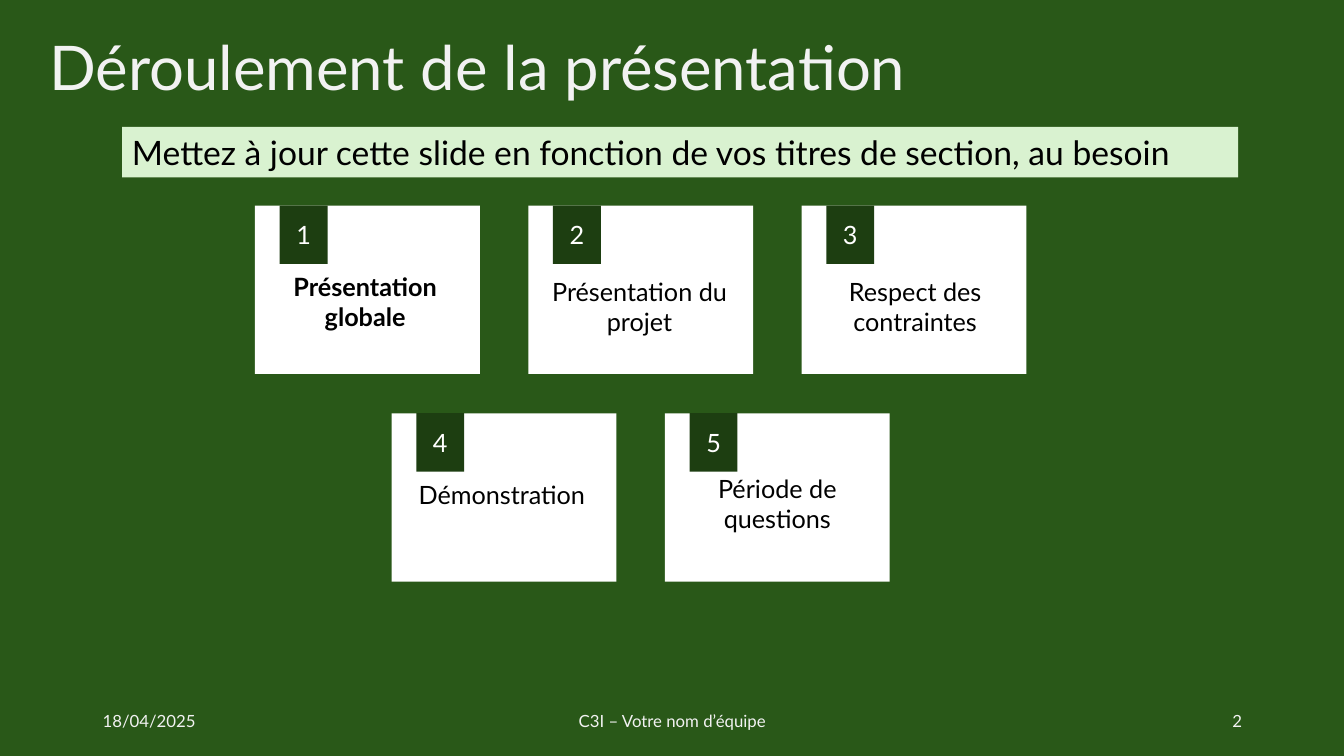
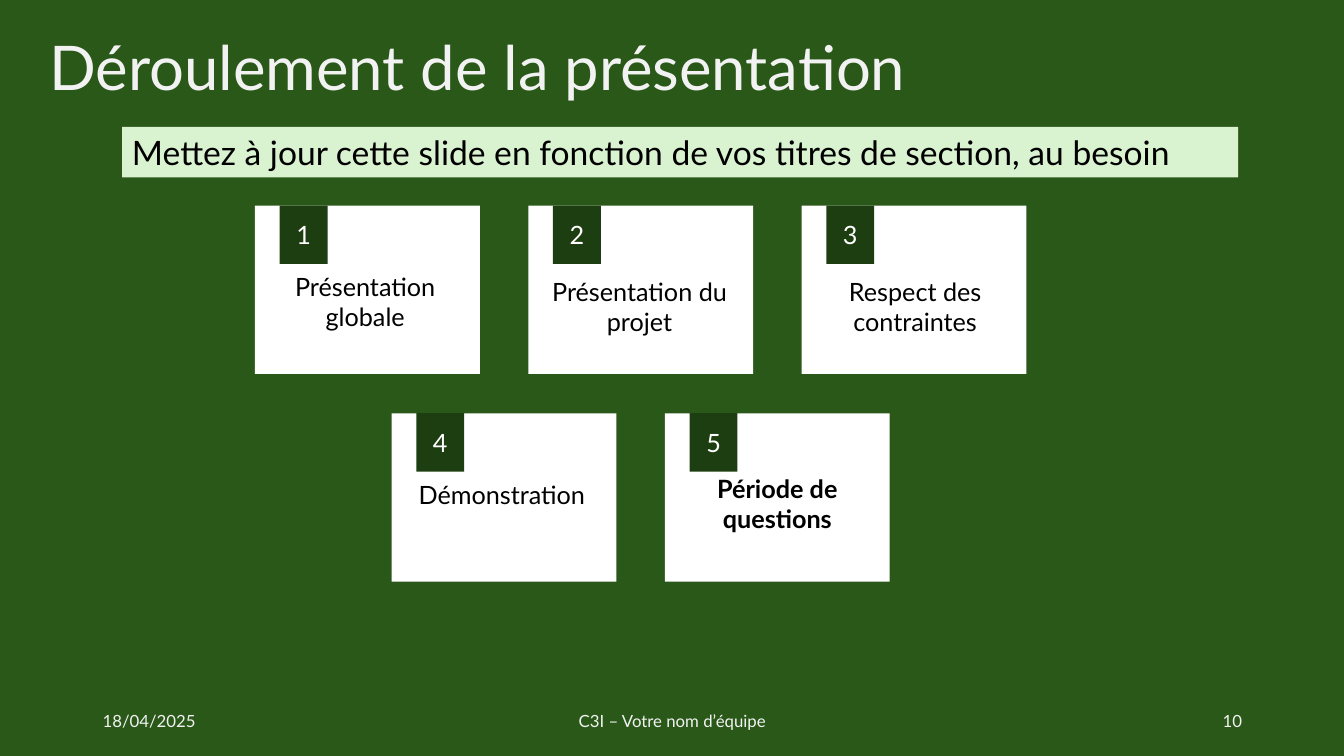
from dataclasses import dataclass

from pptx import Presentation
from pptx.dml.color import RGBColor as Rgb
from pptx.enum.shapes import MSO_SHAPE as Shape
from pptx.enum.text import MSO_ANCHOR as Anchor, MSO_AUTO_SIZE as Fit, PP_ALIGN as Align
from pptx.util import Inches, Pt


@dataclass(frozen=True)
class Theme:
    font: str = "Lato"
    background: str = "295818"
    badge: str = "1D3E11"
    band: str = "D9F2D0"
    card: str = "FFFFFF"
    light: str = "F2F2F2"
    dark: str = "000000"
    title_size: int = 44
    band_size: int = 24
    card_size: int = 18
    footer_size: int = 12


@dataclass(frozen=True)
class Box:
    left: float
    top: float
    width: float
    height: float

    def inner(self, x, y, w, h):
        """Inner box, given in percent of this one."""
        return Box(self.left + self.width * x / 100, self.top + self.height * y / 100,
                   self.width * w / 100, self.height * h / 100)

    def emu(self):
        return [int(v) for v in (self.left, self.top, self.width, self.height)]


@dataclass(frozen=True)
class Section:
    caption: str
    dx: float  # caption offset, percent of the card
    dy: float


THEME = Theme()
SLIDE = Box(0, 0, Inches(13.33), Inches(7.5))
TITLE_BOX = SLIDE.inner(2.92, 2.93, 86.25, 12.8)
BAND_BOX = SLIDE.inner(9.08, 16.8, 83.05, 6.67)
AGENDA_BOX = SLIDE.inner(18.97, 27.2, 57.4, 49.73)
FOOTER_BOX = SLIDE.inner(6.9, 92.67, 86.25, 5.33)

TITLE = "Déroulement de la présentation"
NOTICE = "Mettez à jour cette slide en fonction de vos titres de section, au besoin"
DATE = "18/04/2025"
TEAM = "C3I – Votre nom d’équipe"
ROWS = [
    [Section("Présentation globale", -1, 38.9),
     Section("Présentation du projet", -0.5, 41.9),
     Section("Respect des contraintes", 0.5, 41.9)],
    [Section("Démonstration", -1, 39.5),
     Section("Période de\nquestions", 0, 35.5)],
]
# Page number and current section of each agenda slide
AGENDAS = [("2", 1), ("10", 5)]

CARD_W, CARD_H = 29.15, 44.77
NO_INSETS = dict.fromkeys(("margin_left", "margin_top", "margin_right", "margin_bottom"), 0)


def write(shape, text, size, color, align=Align.LEFT, bold=False, spacing=None, **frame_format):
    frame = shape.text_frame
    frame.text = text
    for name, value in {"word_wrap": True, "vertical_anchor": Anchor.MIDDLE,
                        "auto_size": Fit.NONE, **frame_format}.items():
        setattr(frame, name, value)
    for paragraph in frame.paragraphs:
        paragraph.alignment = align
        paragraph.line_spacing = spacing
        for run in paragraph.runs:
            for name, value in {"name": THEME.font, "size": Pt(size), "bold": bold}.items():
                setattr(run.font, name, value)
            run.font.color.rgb = Rgb.from_string(color)


def add_panel(shapes, box, fill):
    panel = shapes.add_shape(Shape.RECTANGLE, *box.emu())
    panel.shadow.inherit = False
    panel.fill.solid()
    panel.fill.fore_color.rgb = Rgb.from_string(fill)
    panel.line.fill.background()
    return panel


def add_title(slide, box):
    title = slide.shapes.title
    for name, value in zip(("left", "top", "width", "height"), box.emu()):
        setattr(title, name, value)
    write(title, TITLE, THEME.title_size, THEME.light, spacing=0.9)


def add_notice(slide, box):
    write(add_panel(slide.shapes, box, THEME.band), NOTICE, THEME.band_size, THEME.dark,
          vertical_anchor=Anchor.TOP, auto_size=Fit.SHAPE_TO_FIT_TEXT)


def add_card(slide, box, number, section, current):
    # Card with its number tab
    group = slide.shapes.add_group_shape()
    add_panel(group.shapes, box, THEME.card)
    badge = add_panel(group.shapes, box.inner(11, 0, 21.3, 34.7), THEME.badge)
    write(badge, str(number), THEME.card_size, THEME.card, Align.CENTER)

    # Caption
    lines = len(section.caption.split()[:2])
    caption_box = box.inner(section.dx, section.dy, 100, 18.2 * lines)
    write(slide.shapes.add_textbox(*caption_box.emu()), section.caption,
          THEME.card_size, THEME.dark, Align.CENTER, bold=current,
          vertical_anchor=Anchor.TOP, auto_size=Fit.SHAPE_TO_FIT_TEXT, **NO_INSETS)


def add_agenda(slide, box, current):
    # Each row is centred, with the same pitch between cards
    columns = max(map(len, ROWS))
    pitch_x = (100 - CARD_W) / (columns - 1)
    pitch_y = (100 - CARD_H) / (len(ROWS) - 1)
    number = 0
    for row, sections in enumerate(ROWS):
        start = (columns - len(sections)) / 2
        for column, section in enumerate(sections):
            number += 1
            card_box = box.inner((start + column) * pitch_x, row * pitch_y, CARD_W, CARD_H)
            add_card(slide, card_box, number, section, number == current)


def add_footer(slide, box, page_number):
    for text, x, w, align in ((DATE, 0, 26.09, Align.LEFT),
                              (TEAM, 30.43, 39.13, Align.CENTER),
                              (page_number, 73.91, 26.09, Align.RIGHT)):
        write(slide.shapes.add_textbox(*box.inner(x, 0, w, 100).emu()), text,
              THEME.footer_size, THEME.light, align)


def add_agenda_slide(deck, page_number, current):
    slide = deck.slides.add_slide(deck.slide_layouts.get_by_name("Title Only"))
    add_title(slide, TITLE_BOX)
    add_agenda(slide, AGENDA_BOX, current)
    add_notice(slide, BAND_BOX)
    add_footer(slide, FOOTER_BOX, page_number)


def main():
    deck = Presentation()
    deck.slide_width, deck.slide_height = SLIDE.width, SLIDE.height
    backdrop = deck.slide_master.background.fill
    backdrop.solid()
    backdrop.fore_color.rgb = Rgb.from_string(THEME.background)
    for page_number, current in AGENDAS:
        add_agenda_slide(deck, page_number, current)
    deck.save("out.pptx")


if __name__ == "__main__":
    main()
